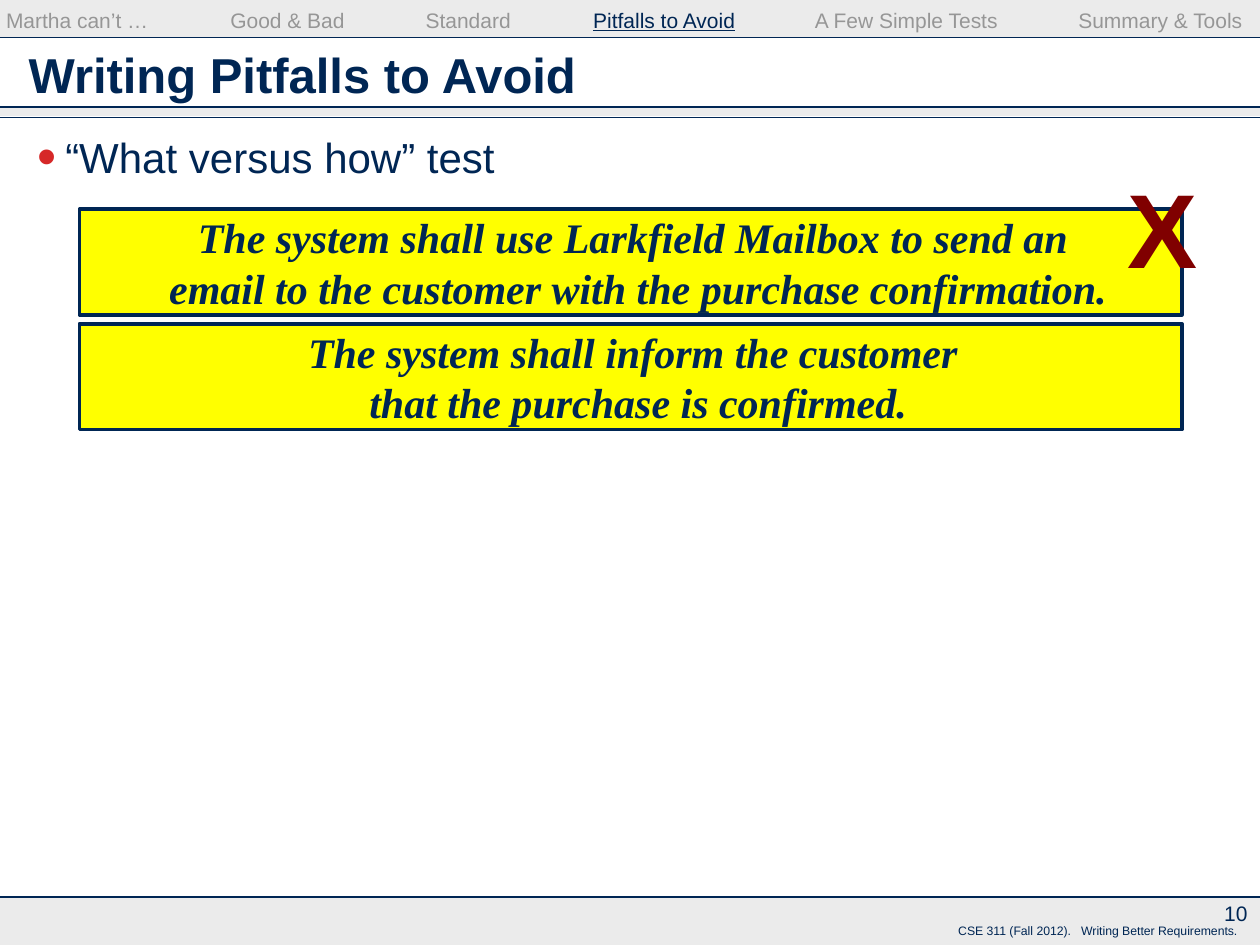
"""Build the "Writing Pitfalls to Avoid" slide."""
import pptx
import pptx.dml.color
import pptx.enum.shapes
import pptx.enum.text
import pptx.oxml
import pptx.util
from lxml import etree

Inches, Pt = pptx.util.Inches, pptx.util.Pt
ALIGN = pptx.enum.text.PP_ALIGN
ANCHOR = pptx.enum.text.MSO_ANCHOR

COLORS = {"navy": "002654", "gray": "CDCDCD", "muted": "969696", "red": "D62828",
          "maroon": "800000", "yellow": "FFFF00"}

SECTIONS = [("Martha can’t …", 0), ("Good & Bad", 1.78), ("Standard", 3.33),
            ("Pitfalls to Avoid", 4.66), ("A Few Simple Tests", 6.42),
            ("Summary & Tools", 8.51)]
CURRENT_SECTION = "Pitfalls to Avoid"
TITLE = "Writing Pitfalls to Avoid"
TEST = "“What versus how” test"
REQUIREMENTS = [
    "The system shall use Larkfield Mailbox to send an \v"
    "email to the customer with the purchase confirmation.",
    "The system shall inform the customer \vthat the purchase is confirmed.",
]
FOOTER = "CSE 311 (Fall 2012).\u00a0\u00a0 Writing Better Requirements."
PAGE = "10"

BANDS = [(7.12, 0.38), (0, 0.3), (0.85, 0.07)]
RULES = [0.85, 0.3, 0.93, 7.12]
FIRST_REQUIREMENT, REQUIREMENT_STEP = 1.66, 0.91

deck = pptx.Presentation()
deck.slide_width, deck.slide_height = Inches(10), Inches(7.5)
slide = deck.slides.add_slide(deck.slide_layouts[6])


def rgb(name):
    return pptx.dml.color.RGBColor.from_string(COLORS[name])


def add_xml(parent, tag, **attributes):
    return etree.SubElement(parent, pptx.oxml.ns.qn(tag), attributes)


def add_box(left, top, width, height, fill):
    box = slide.shapes.add_shape(pptx.enum.shapes.MSO_SHAPE.RECTANGLE, Inches(left),
                                 Inches(top), Inches(width), Inches(height))
    box.shadow.inherit = False
    box.fill.solid()
    box.fill.fore_color.rgb = rgb(fill)
    return box


def style(run, size, color="navy", font="Arial", bold=False, italic=False):
    run.font.name, run.font.size = font, Pt(size)
    run.font.bold, run.font.italic = bold, italic
    run.font.color.rgb = rgb(color)


def set_insets(frame, left=0.1, top=0.05, right=0.1, bottom=0.05):
    frame.margin_left, frame.margin_top = Inches(left), Inches(top)
    frame.margin_right, frame.margin_bottom = Inches(right), Inches(bottom)


def add_text(text, left, top, width, height, size, color="navy", bold=False,
             align=ALIGN.LEFT, anchor=ANCHOR.TOP, wrap=False):
    frame = slide.shapes.add_textbox(Inches(left), Inches(top), Inches(width),
                                     Inches(height)).text_frame
    set_insets(frame)
    frame.word_wrap, frame.vertical_anchor = wrap, anchor
    frame.text = text
    paragraph = frame.paragraphs[0]
    paragraph.alignment = align
    for run in paragraph.runs:
        style(run, size, color, bold=bold)
    return frame


for top, height in BANDS:
    band = add_box(0, top, 10, height, "gray")
    band.line.fill.background()
    tint = band.fill._xPr.find(".//" + pptx.oxml.ns.qn("a:srgbClr"))
    add_xml(tint, "a:alpha", val="40000")

for y in RULES:
    rule = slide.shapes.add_connector(pptx.enum.shapes.MSO_CONNECTOR.STRAIGHT,
                                      0, Inches(y), Inches(10), Inches(y))
    rule.line.color.rgb, rule.line.width = rgb("navy"), Pt(0.74)
    add_xml(rule._element.spPr, "a:effectLst")

footer = add_text(FOOTER, 3.79, 7.28, 6.21, 0.22, 7, align=ALIGN.RIGHT, wrap=True)
footer.margin_right = Inches(0.18)
add_text(PAGE, 9.3, 7.08, 0.7, 0.34, 12, align=ALIGN.RIGHT, anchor=ANCHOR.MIDDLE, wrap=True)
add_text(TITLE, 0.13, 0.26, 9.74, 0.66, 28, bold=True, anchor=ANCHOR.MIDDLE, wrap=True)

test = add_text(TEST, 0, 1.03, 9.74, 6.1, 24, wrap=True).paragraphs[0]
test.line_spacing, test.space_before = Pt(26), Pt(6)
bullet = test._p.get_or_add_pPr()
bullet.set("marL", str(Inches(0.42)))
bullet.set("indent", str(Inches(-0.22)))
add_xml(add_xml(bullet, "a:buClr"), "a:srgbClr", val=COLORS["red"])
add_xml(bullet, "a:buSzPct", val="130000")
add_xml(bullet, "a:buFont", typeface="Arial")
add_xml(bullet, "a:buChar", char="•")

for index, requirement in enumerate(REQUIREMENTS):
    box = add_box(0.63, FIRST_REQUIREMENT + index * REQUIREMENT_STEP, 8.75, 0.84, "yellow")
    box.line.color.rgb, box.line.width = rgb("navy"), Pt(2)
    frame = box.text_frame
    set_insets(frame, 0.12, 0, 0, 0)
    frame.word_wrap, frame.vertical_anchor = True, ANCHOR.MIDDLE
    frame.text = requirement
    frame.paragraphs[0].alignment = ALIGN.CENTER
    for run in frame.paragraphs[0].runs:
        style(run, 24, font="Times New Roman", bold=True, italic=True)

add_text("X", 8.85, 1.25, 0.75, 1.1, 60, "maroon", bold=True)

navigation = add_text("", -0.05, 0.06, 10.1, 0.25, 12, wrap=True)
set_insets(navigation, top=0)
sections = navigation.paragraphs[0]
stops = add_xml(sections._p.get_or_add_pPr(), "a:tabLst")
for name, stop in SECTIONS:
    if stop:
        add_xml(stops, "a:tab", pos=str(Inches(stop)), algn="l")
        gap = sections.add_run()
        gap.text = "\t"
        style(gap, 12, "muted")
    section = sections.add_run()
    section.text = name
    current = name == CURRENT_SECTION
    style(section, 12, "navy" if current else "muted")
    section.font.underline = current

deck.save("out.pptx")
